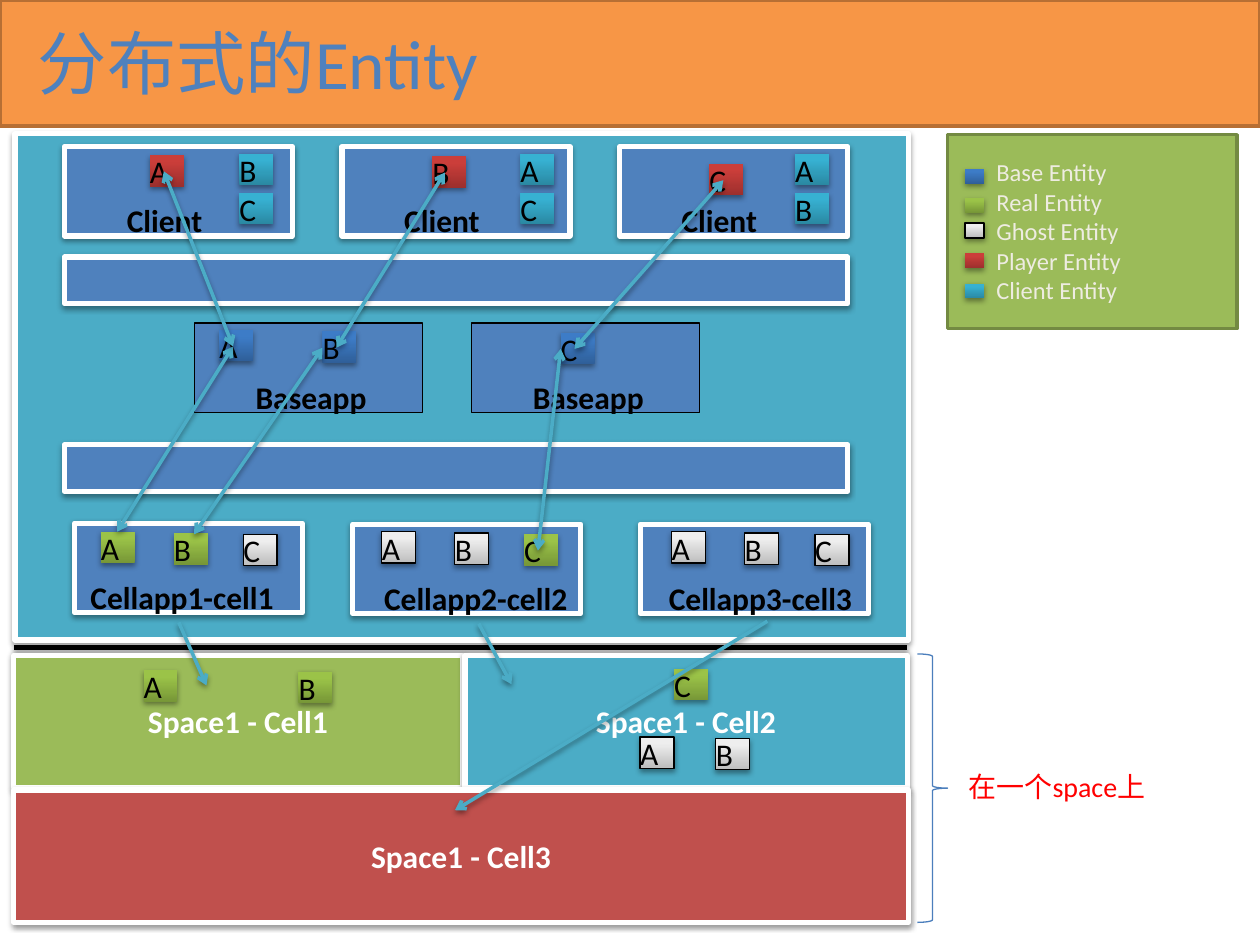
from copy import deepcopy
from pptx import Presentation
from pptx.dml.color import RGBColor
from pptx.enum.shapes import MSO_CONNECTOR, MSO_SHAPE
from pptx.enum.text import MSO_ANCHOR, PP_ALIGN
from pptx.oxml import parse_xml
from pptx.util import Pt

RECT = MSO_SHAPE.RECTANGLE
BRACE = MSO_SHAPE.RIGHT_BRACE
STRAIGHT = MSO_CONNECTOR.STRAIGHT
MIDDLE = MSO_ANCHOR.MIDDLE
LEFT, CENTER = PP_ALIGN.LEFT, PP_ALIGN.CENTER
NS = 'xmlns:a="http://schemas.openxmlformats.org/drawingml/2006/main"'
BLUE, TEAL, GREEN, RED = "4F81BD", "4BACC6", "9BBB59", "C0504D"
WHITE, BLACK = "FFFFFF", "000000"

# Gradient of each entity kind, from bottom to top
KINDS = {
    "Base": ("2F5F99", "3D7CC7"),
    "Real": ("779737", "9BC348"),
    "Ghost": ("BDBDBD", "EEEEEE"),
    "Player": ("9C2F2D", "CB3E3A"),
    "Client": ("2A88A2", "37B1D2"),
}

rgb = RGBColor.from_string
deck = Presentation()
deck.slide_width, deck.slide_height = Pt(720), Pt(540)
slide = deck.slides.add_slide(deck.slide_layouts[5])
shapes = slide.shapes
shaded = []


def box(spot, fill, edge=None, width=3, shade=True):
    """Add a rectangle; fill is a colour or a pair of gradient colours."""
    shape = shapes.add_shape(RECT, *map(Pt, spot))
    if isinstance(fill, tuple):
        shape.fill.gradient()
        shape.fill.gradient_angle = 90
        for stop, tone, place in zip(shape.fill.gradient_stops, fill, (0, 0.8)):
            stop.color.rgb = rgb(tone)
            stop.position = place
    else:
        shape.fill.solid()
        shape.fill.fore_color.rgb = rgb(fill)
    if edge:
        shape.line.color.rgb = rgb(edge)
        shape.line.width = Pt(width)
    else:
        shape.line.fill.background()
    if shade:
        shaded.append(shape.element.spPr)
    else:
        shape.shadow.inherit = False
    return shape


def write(shape, text, size=18, tone=BLACK, bold=False, align=LEFT):
    """Set the text of a shape and format every run."""
    frame = shape.text_frame
    frame.word_wrap = True
    frame.text = text
    for para in frame.paragraphs:
        para.alignment = align
        for run in para.runs:
            run.font.name = "Calibri"
            run.font.size = Pt(size)
            run.font.bold = bold
            run.font.color.rgb = rgb(tone)
    return frame


# Main panel, its two bars and the rule under it
rule = shapes.add_connector(STRAIGHT, Pt(7.9), Pt(370), Pt(518.4), Pt(370))
rule.line.color.rgb = rgb(BLACK)
rule.line.width = Pt(3)
shaded.append(rule.element.spPr)
box((8.6, 76.3, 510.5, 289.4), TEAL, WHITE)
for top in (254.2, 146.9):
    box((36.7, top, 447.8, 26.6), BLUE, WHITE)

# Title on its banner
banner = box((0, 0, 720, 72), "F79646", "B76F34", 2, False)
title = shapes.title
banner.element.addnext(title.element)
title.left, title.top, title.width, title.height = map(Pt, (14.4, 10, 698, 51))
write(title, "分布式的Entity", 39.6, BLUE).vertical_anchor = MIDDLE

# Legend
box((541.4, 77, 165.6, 110.9), GREEN, "738A42", 2, False)
for kind, top in zip(KINDS, (96.5, 113, 127.4, 144.7, 162)):
    edge = BLACK if kind == "Ghost" else None
    box((551.5, top, 10.8, 8.6), KINDS[kind], edge, 0.75)
names = shapes.add_textbox(Pt(562.3), Pt(86.4), Pt(144), Pt(92.2))
write(names, "\n".join(f"{kind} Entity" for kind in KINDS), 14, "EEECE1")

# Processes: name, left, top, left of the name, edge
apps = [("Client", 36.7 + 158.7 * i, 83.7, 65.4 + 158.5 * i, WHITE)
        for i in range(3)]
apps += [("Baseapp", 111 + 158.4 * i, 184.6, 139 + 158.4 * i, BLACK)
         for i in range(2)]
apps += [
    ("Cellapp1-cell1", 42.5, 299, 44.6, WHITE),
    ("Cellapp2-cell2", 201.6, 299.5, 212.4, WHITE),
    ("Cellapp3-cell3", 365.8, 299.5, 375.1, WHITE),
]
for name, left, top, start, edge in apps:
    framed = edge == WHITE
    box((left, top, 130.3, 51.1), BLUE, edge, 3 if framed else 0.75, framed)
    tag = shapes.add_textbox(Pt(start), Pt(top + 27.8), Pt(125), Pt(28.8))
    write(tag, name, bold=True)

# Cells of the space
for name, spot, tone in (
    ("Cell1", (7.9, 374.4, 256.3, 75.6), GREEN),
    ("Cell2", (265.7, 374.4, 252.7, 75.6), TEAL),
    ("Cell3", (7.9, 451.4, 511.2, 75.6), RED),
):
    cell = box(spot, tone, WHITE)
    write(cell, f"Space1 - {name}", 18, WHITE, True, CENTER).vertical_anchor = MIDDLE

# Entities: letter, left, top
tiles = {
    "Base": [("A", 125.3, 188.6), ("B", 184.3, 189.4), ("C", 320.4, 190)],
    "Player": [("A", 85.7, 88.6), ("B", 247, 89.3), ("C", 405.4, 93.6)],
    "Client": [(letter, left, top)
               for pair, left in (("BC", 136.8), ("AC", 297.4), ("AB", 454.3))
               for letter, top in zip(pair, (87.8, 110.2))],
    "Real": [("A", 57.6, 303.8), ("B", 99.4, 304.6), ("C", 299.5, 305.3),
             ("A", 82.1, 383), ("B", 170.6, 383.8), ("C", 385.2, 382.3)],
    "Ghost": [("C", 139, 305.3), ("A", 218.2, 303.8), ("B", 259.9, 304.6),
              ("A", 383.8, 303.8), ("B", 425.5, 304.6), ("C", 465.8, 305.3),
              ("A", 365.8, 421.2), ("B", 409, 421.9)],
}
for kind, group in tiles.items():
    edge = BLACK if kind == "Ghost" else None
    for letter, left, top in group:
        box((left, top, 19.4, 18), KINDS[kind], edge, 0.75)
        mark = shapes.add_textbox(Pt(left), Pt(top - 5.2), Pt(12), Pt(28.8))
        frame = write(mark, letter)
        frame.margin_left = frame.margin_right = 0

# Arrows: start, end, ends that carry a head
both, last = ("headEnd", "tailEnd"), ("tailEnd",)
for *ends, heads in (
    (133.2, 198, 67, 303.8, both),
    (184.3, 198.7, 110.9, 305.3, both),
    (320.4, 199.4, 307.4, 314.6, both),
    (93.6, 97.9, 133.2, 198, both),
    (254.2, 98.6, 192.2, 198.7, both),
    (413.3, 103, 328.3, 199.4, both),
    (102.2, 355.7, 118, 391.7, last),
    (273.6, 356.4, 292.3, 391, last),
    (438.5, 355, 260, 463, last),
):
    arrow = shapes.add_connector(STRAIGHT, *map(Pt, ends))
    arrow.line.color.rgb = rgb(TEAL)
    arrow.line.width = Pt(2)
    for head in heads:
        arrow.get_or_add_ln().append(parse_xml(f'<a:{head} {NS} type="arrow"/>'))
    shaded.append(arrow.element.spPr)

# Brace and its note
brace = shapes.add_shape(BRACE, Pt(524.2), Pt(373.7), Pt(17.3), Pt(153.4))
brace.fill.background()
brace.line.color.rgb = rgb("4B7EBC")
brace.line.width = Pt(0.75)
brace.shadow.inherit = False
note = shapes.add_textbox(Pt(546.5), Pt(436.3), Pt(154.8), Pt(26.6))
write(note, "在一个space上", 16, "FF0000")

# Soft shadow below
soft = parse_xml(
    f'<a:effectLst {NS}><a:outerShdw blurRad="39400" dist="20300" dir="5400000" '
    'rotWithShape="0"><a:srgbClr val="000000"><a:alpha val="38000"/></a:srgbClr>'
    '</a:outerShdw></a:effectLst>')
for props in shaded:
    props.append(deepcopy(soft))

deck.save("out.pptx")
